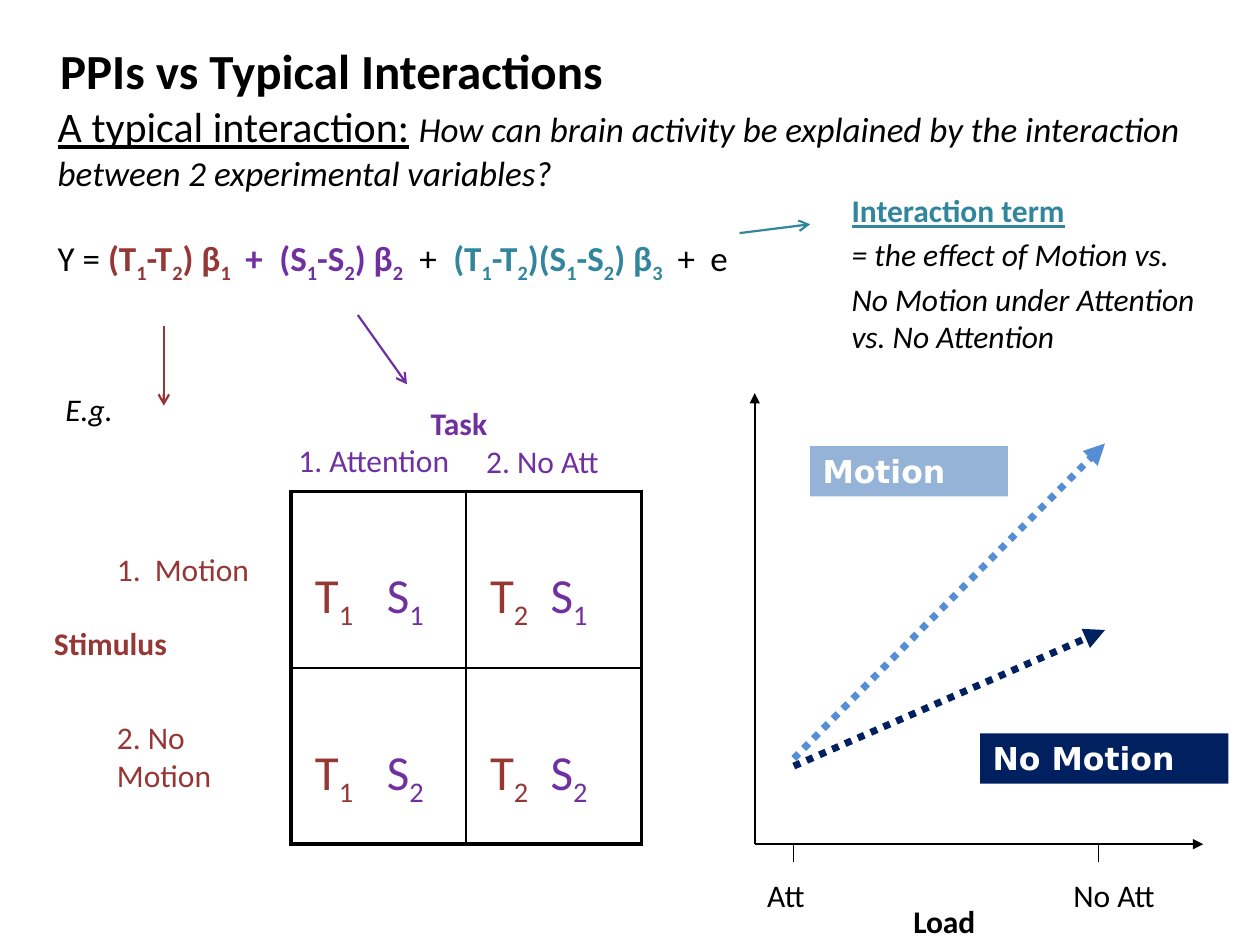
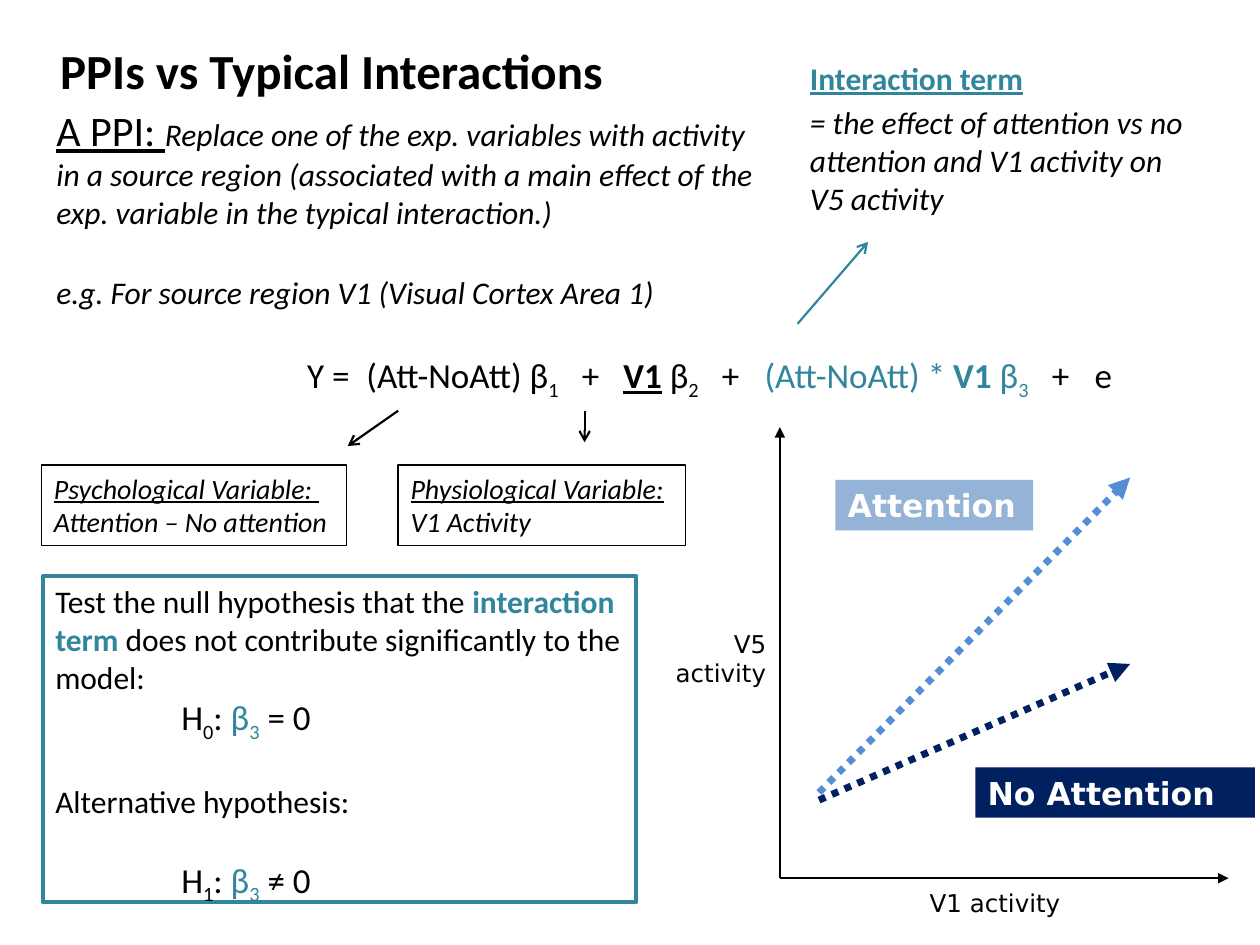
from lxml import etree
from pptx import Presentation
from pptx.dml.color import RGBColor
from pptx.enum.dml import MSO_LINE
from pptx.enum.shapes import MSO_CONNECTOR, MSO_SHAPE
from pptx.enum.text import MSO_ANCHOR, PP_ALIGN
from pptx.oxml.ns import qn
from pptx.util import Inches, Pt

BLACK = RGBColor(0x00, 0x00, 0x00)
WHITE = RGBColor(0xFF, 0xFF, 0xFF)
RED = RGBColor(0x95, 0x37, 0x35)
PURPLE = RGBColor(0x70, 0x30, 0xA0)
TEAL = RGBColor(0x31, 0x85, 0x9C)
BLUE = RGBColor(0x55, 0x8E, 0xD5)
PALE_BLUE = RGBColor(0x95, 0xB3, 0xD7)
NAVY = RGBColor(0x00, 0x20, 0x60)

BODY_FONT, PLOT_FONT = "Calibri", "DejaVu Sans"
DOTTED = MSO_LINE.ROUND_DOT
STRAIGHT = MSO_CONNECTOR.STRAIGHT
RECTANGLE = MSO_SHAPE.RECTANGLE
TOP, MIDDLE = MSO_ANCHOR.TOP, MSO_ANCHOR.MIDDLE
LEFT, RIGHT = PP_ALIGN.LEFT, PP_ALIGN.RIGHT


# Text helpers
def style_font(font, color=None, **flags):
    if color is not None:
        font.color.rgb = color
    for flag, value in flags.items():
        setattr(font, flag, value)


def add_spans(para, text, **style):
    """Add text; the character after each underscore is a subscript."""
    plain, *marked = text.split("_")
    parts = [(plain, False)]
    for part in marked:
        parts += [(part[0], True), (part[1:], False)]
    for content, lowered in parts:
        if content:
            span = para.add_run()
            span.text = content
            style_font(span.font, **style)
            if lowered:
                span._r.get_or_add_rPr().set("baseline", "-25000")


def write(para, *pieces, size=18, name=BODY_FONT, color=BLACK, before=0,
          indent=0, stops=(), align=LEFT, **flags):
    """Fill a paragraph with strings or (string, style) pairs."""
    props = para._p.get_or_add_pPr()
    para.alignment = align
    if indent:
        props.set("marL", str(Inches(indent)))
    if before:
        para.space_before = Pt(before)
    if stops:
        tabs = etree.SubElement(props, qn("a:tabLst"))
        for stop in stops:
            etree.SubElement(tabs, qn("a:tab"), pos=str(Inches(stop)), algn="l")
    style_font(para.font, color, name=name, size=Pt(size), **flags)
    for piece in pieces:
        text, style = (piece, {}) if isinstance(piece, str) else piece
        add_spans(para, text, **style)


def add_text(page, left, top, width, height, *pieces, wrap=True, **style):
    box = page.shapes.add_textbox(Inches(left), Inches(top),
                                  Inches(width), Inches(height))
    frame = box.text_frame
    frame.word_wrap = wrap
    write(frame.paragraphs[0], *pieces, **style)
    return frame


# Shape helpers
def add_line(page, start, end, color=BLACK, width=1.0, head=None, dash=None):
    line = page.shapes.add_connector(STRAIGHT, *map(Inches, start + end))
    line.line.color.rgb = color
    line.line.width = Pt(width)
    if dash is not None:
        line.line.dash_style = dash
    if head:
        etree.SubElement(line.line._get_or_add_ln(), qn("a:tailEnd"), type=head)
    etree.SubElement(line._element.spPr, qn("a:effectLst"))


def add_panel(page, left, top, width, height, fill=None, outline=None, weight=0.75):
    panel = page.shapes.add_shape(RECTANGLE, Inches(left), Inches(top),
                                  Inches(width), Inches(height))
    panel.shadow.inherit = False
    if fill is None:
        panel.fill.background()
    else:
        panel.fill.solid()
        panel.fill.fore_color.rgb = fill
    if outline is None:
        panel.line.fill.background()
    else:
        panel.line.color.rgb = outline
        panel.line.width = Pt(weight)
    frame = panel.text_frame
    frame.word_wrap = True
    frame.vertical_anchor = TOP
    return frame


# Parts used on both slides
def add_title(page):
    frame = add_text(page, 0.38, 0.21, 5, 0.69, "PPIs vs Typical Interactions",
                     size=28, bold=True)
    frame.vertical_anchor = MIDDLE


def add_pointer(page, start, end, color=BLACK):
    add_line(page, start, end, color, 1.25, "arrow")


def add_interaction_note(page, left, top, *lines):
    frame = add_text(page, left, top, 3.22, 1.4, "Interaction term",
                     color=TEAL, bold=True, underline=True)
    for line in lines:
        write(frame.add_paragraph(), line, before=3.6, italic=True)


def add_plot(page, left, base, upper, lower, lower_left, lower_width):
    """Axes, two trend arrows and their labels; (left, base) is the origin."""
    add_line(page, (left, base), (left + 3.56, base), head="triangle")
    add_line(page, (left, base), (left, base - 3.58), head="triangle")
    for color, start, end in ((BLUE, 0.68, 3.18), (NAVY, 0.62, 1.7)):
        add_line(page, (left + 0.31, base - start), (left + 2.78, base - end),
                 color, 4, "triangle", DOTTED)
    for label, x, rise, width, fill in (
            (upper, 0.44, 3.16, 1.57, PALE_BLUE),
            (lower, lower_left, 0.88, lower_width, NAVY)):
        frame = add_panel(page, left + x, base - rise, width, 0.4, fill)
        write(frame.paragraphs[0], label, name=PLOT_FONT, color=WHITE, bold=True)


# Slide 1 regions
def add_load_axis(page, left, base):
    for x in (0.31, 2.73):
        add_line(page, (left + x, base), (left + x, base + 0.14), width=0.75)
    for label, x, drop, bold in (("Att", 0, 0.2, False), ("No Att", 2.43, 0.2, False),
                                 ("Load", 1.16, 0.41, True)):
        add_text(page, left + x, base + drop, 0.86, 0.4, label, bold=bold)


def set_borders(cell, row, column):
    props = cell._tc.get_or_add_tcPr()
    outer = {"lnL": column == 0, "lnR": column == 1, "lnT": row == 0, "lnB": row == 1}
    for side, is_outer in outer.items():
        border = etree.SubElement(props, qn(f"a:{side}"),
                                  w=str(Pt(2.25 if is_outer else 1)))
        fill = etree.SubElement(border, qn("a:solidFill"))
        etree.SubElement(fill, qn("a:srgbClr"), val=str(BLACK))


def add_design_table(page, left, top):
    """Two tasks across, two stimuli down, with labels around the table."""
    table = page.shapes.add_table(2, 2, Inches(left), Inches(top),
                                  Inches(2.78), Inches(2.8)).table
    table.first_row = table.horz_banding = False
    for row in range(2):
        for column, stop in enumerate((0.57, 0.48)):
            cell = table.cell(row, column)
            set_borders(cell, row, column)
            cell.fill.background()
            cell.margin_left, cell.margin_top = Inches(0.19), Inches(0.6)
            write(cell.text_frame.paragraphs[0],
                  (f"T_{column + 1}\t", {"color": RED}),
                  (f"S_{row + 1}", {"color": PURPLE}), size=28, stops=[stop])

    for label, x, y, width, color, bold in (
            ("Task", 1.01, -0.74, 1.08, PURPLE, True),
            ("1. Attention", -0.04, -0.45, 1.54, PURPLE, False),
            ("2. No Att", 1.45, -0.44, 1.63, PURPLE, False),
            ("Stimulus", -1.98, 1.0, 1.45, RED, True),
            ("1.\tMotion", -1.48, 0.42, 1.41, RED, False),
            ("2. No Motion", -1.48, 1.75, 1.3, RED, False)):
        add_text(page, left + x, top + y, width, 0.4, label,
                 color=color, bold=bold, stops=[0.3])


def build_typical_interaction(page):
    add_title(page)
    add_plot(page, 5.99, 6.7, "Motion", "No Motion", 1.79, 1.97)
    add_load_axis(page, 5.99, 6.7)

    # Question and model
    add_text(page, 0.36, 0.75, 9.39, 0.85,
             ("A typical interaction:", {"size": Pt(24), "underline": True}),
             (" ", {"size": Pt(24)}),
             ("How can brain activity be explained by the interaction "
              "between 2 experimental variables?", {"italic": True}), size=20)
    red, purple, teal = ({"color": color, "bold": True} for color in (RED, PURPLE, TEAL))
    add_text(page, 0.36, 1.83, 6, 0.45, "Y = ", ("(T_1-T_2) β_1\t", red),
             ("+\t(S_1-S_2) β_2\t", purple), "+\t",
             ("(T_1-T_2)(S_1-S_2) β_3\t", teal), "+\te",
             size=20, stops=[1.49, 1.76, 2.87, 3.14, 4.92, 5.18])

    # Design
    add_text(page, 0.42, 3.05, 0.64, 0.4, "E.g.", wrap=False, italic=True)
    add_design_table(page, 2.31, 3.9)
    add_interaction_note(page, 6.66, 1.47, "= the effect of Motion vs.",
                         "No Motion under Attention vs. No Attention")
    add_pointer(page, (5.87, 1.85), (6.43, 1.78), TEAL)
    add_pointer(page, (1.3, 2.59), (1.3, 3.22), RED)
    add_pointer(page, (2.84, 2.5), (3.23, 3.05), PURPLE)


# Slide 2 regions
def add_variable_box(page, left, top, width, heading, detail):
    frame = add_panel(page, left, top, width, 0.64, outline=BLACK)
    write(frame.paragraphs[0], heading, size=16, italic=True, underline=True)
    write(frame.add_paragraph(), detail, size=16, italic=True)


def add_hypothesis_box(page, left, top):
    frame = add_panel(page, left, top, 4.71, 2.59, outline=TEAL, weight=2.25)
    teal = {"color": TEAL}
    write(frame.paragraphs[0], "Test the null hypothesis that the ",
          ("interaction term ", {"color": TEAL, "bold": True}),
          "does not contribute significantly to the model:")
    write(frame.add_paragraph(), "H_0: ", ("β_3 ", teal), "= 0", size=20, indent=1)
    write(frame.add_paragraph(), "Alternative hypothesis:", before=22)
    write(frame.add_paragraph(), "H_1: ", ("β_3 ", teal), "≠ 0",
          size=20, indent=1, before=22)


def build_ppi(page):
    add_title(page)

    # Explanation and model
    frame = add_text(page, 0.35, 0.78, 6.2, 1.9,
                     ("A PPI: ", {"size": Pt(24), "underline": True}),
                     ("Replace one of the exp. variables with activity",
                      {"italic": True}))
    for line, before in (
            ("in a source region (associated with a main effect of the", 0),
            ("exp. variable in the typical interaction.)", 0),
            ("e.g. For source region V1 (Visual Cortex Area 1)", 24.4)):
        write(frame.add_paragraph(), line, before=before, italic=True)
    teal = {"color": TEAL}
    add_text(page, 2.34, 2.76, 7, 0.45, "Y =\t(Att-NoAtt) β_1\t+\t",
             ("V1", {"bold": True, "underline": True}), " β_2\t+\t",
             ("(Att-NoAtt) * ", teal), ("V1 ", {"color": TEAL, "bold": True}),
             ("β_3\t", teal), "+\te",
             size=20, stops=[0.47, 2.18, 2.51, 3.29, 3.63, 5.91, 6.25])

    add_interaction_note(page, 6.33, 0.42, "= the effect of attention vs no "
                         "attention and V1 activity on V5 activity")
    add_pointer(page, (6.33, 2.57), (6.89, 1.92), TEAL)

    # Plot with axis names
    add_plot(page, 6.19, 6.97, "Attention", "No Attention", 1.55, 2.22)
    add_text(page, 7.28, 7, 1.5, 0.34, "V1 activity", size=14, name=PLOT_FONT)
    frame = add_text(page, 5.08, 4.94, 1.1, 0.55, "V5",
                     size=14, name=PLOT_FONT, align=RIGHT)
    write(frame.add_paragraph(), "activity", size=14, name=PLOT_FONT, align=RIGHT)

    # Variables and test
    add_variable_box(page, 0.33, 3.69, 2.42, "Psychological Variable: ",
                     "Attention – No attention")
    add_variable_box(page, 3.16, 3.69, 2.28, "Physiological Variable:", "V1 Activity")
    add_pointer(page, (4.64, 3.26), (4.64, 3.51))
    add_pointer(page, (3.16, 3.26), (2.76, 3.54))
    add_hypothesis_box(page, 0.34, 4.57)


def main():
    deck = Presentation()
    deck.slide_width, deck.slide_height = Inches(10), Inches(7.5)
    for build in (build_typical_interaction, build_ppi):
        build(deck.slides.add_slide(deck.slide_layouts[6]))
    deck.save("out.pptx")


if __name__ == "__main__":
    main()
